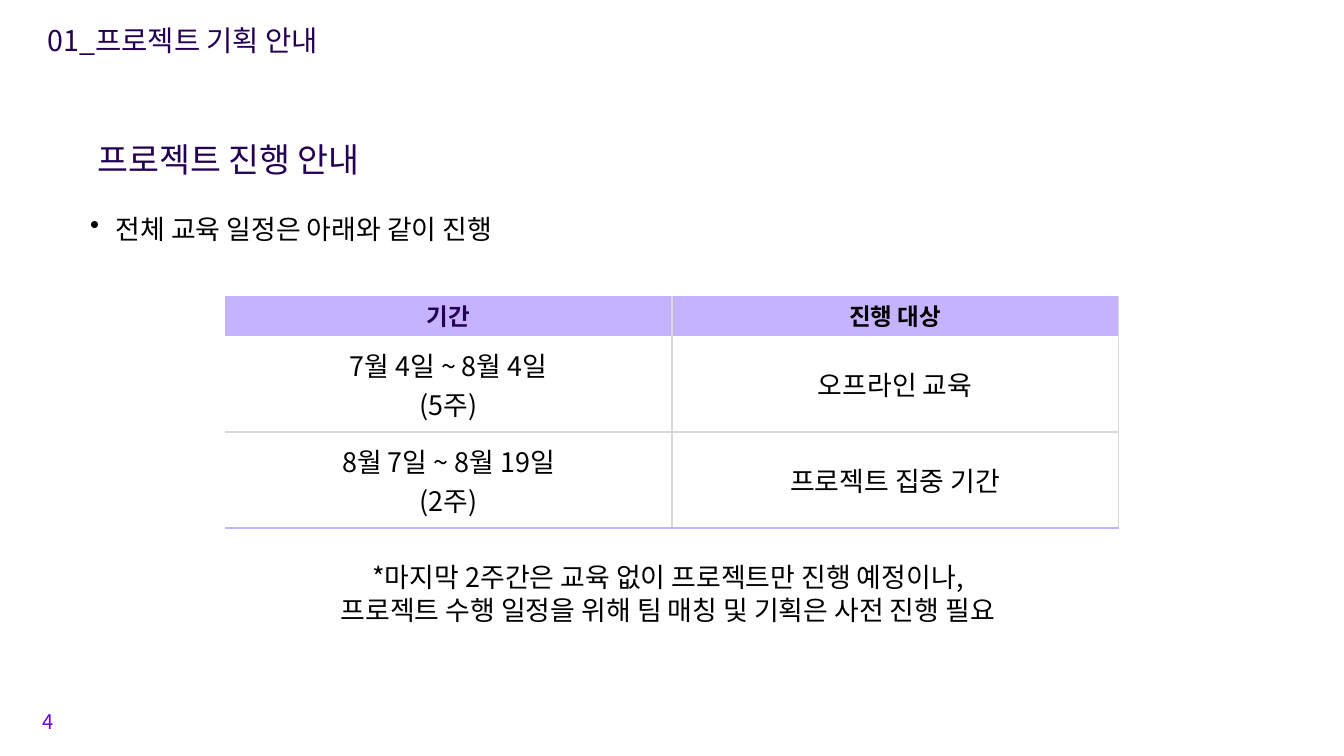
from dataclasses import dataclass

import lxml.etree
import pptx
import pptx.dml.color
import pptx.enum.text
import pptx.oxml.ns
import pptx.util

Cm = pptx.util.Cm
Align = pptx.enum.text.PP_ALIGN
Anchor = pptx.enum.text.MSO_ANCHOR
qn = pptx.oxml.ns.qn


@dataclass(frozen=True)
class Theme:
    font: str = "Noto Sans CJK KR"
    navy: str = "230054"
    black: str = "000000"
    white: str = "FFFFFF"
    violet: str = "6700E6"
    lilac: str = "C6B3FF"
    grey: str = "D9D9D9"
    title: int = 34
    topic: int = 40
    body: int = 32
    head: int = 28
    small: int = 24
    rule: float = 2.25


@dataclass(frozen=True)
class Label:
    lines: tuple[str, ...]
    left: float
    top: float
    width: float
    height: float
    size: int
    color: str
    align: Align = Align.LEFT
    anchor: Anchor = Anchor.TOP
    space: float = 1.0
    dot: bool = False


@dataclass(frozen=True)
class Entry:
    lines: tuple[str, ...]
    size: int
    color: str
    fill: str
    edges: dict[str, str]
    bold: bool = False


T = Theme()

LABELS = (
    Label(("01_프로젝트 기획 안내",), 1.75, 1.02, 44.22, 1.85,
          T.title, T.navy, space=0.9),
    Label(("프로젝트 진행 안내",), 3.84, 5.92, 48.97, 1.85,
          T.topic, T.navy, space=0.9),
    Label(("전체 교육 일정은 아래와 같이 진행",), 3.53, 8.79, 49.33, 1.9,
          T.body, T.black, dot=True),
    Label(("*마지막 2주간은 교육 없이 프로젝트만 진행 예정이나,",
           "프로젝트 수행 일정을 위해 팀 매칭 및 기획은 사전 진행 필요"),
          3.38, 23.44, 49.33, 3.6, T.body, T.black, Align.CENTER),
    Label(("4",), 1.55, 29.46, 12.7, 1.7,
          T.small, T.violet, anchor=Anchor.MIDDLE),
)

SIDES = ({"R": T.grey}, {"L": T.grey, "R": T.grey})
PLAN = (
    (("7월 4일 ~ 8월 4일", "(5주)"), ("오프라인 교육",), {"B": T.grey}),
    (("8월 7일 ~ 8월 19일", "(2주)"), ("프로젝트 집중 기간",),
     {"T": T.grey, "B": T.lilac}),
)
HEADS = (("기간", T.navy), ("진행 대상", T.black))
ROWS = [[Entry((text,), T.head, color, T.lilac, side, True)
         for (text, color), side in zip(HEADS, SIDES)]]
ROWS += [[Entry(lines, T.body, T.black, T.white, side | edges)
          for lines, side in zip((dates, group), SIDES)]
         for dates, group, edges in PLAN]


def rgb(color: str) -> pptx.dml.color.RGBColor:
    return pptx.dml.color.RGBColor.from_string(color)


def write(frame: pptx.text.text.TextFrame, lines: tuple[str, ...], size: int,
          color: str, align: Align, space: float = 1.0,
          bold: bool = False, dot: bool = False) -> None:
    for i, line in enumerate(lines):
        para = frame.add_paragraph() if i else frame.paragraphs[0]
        para.alignment = align
        para.line_spacing = space
        if dot:
            props = para._p.get_or_add_pPr()
            props.set("marL", str(Cm(1.07)))
            props.set("indent", str(-Cm(1.07)))
            lxml.etree.SubElement(props, qn("a:buChar")).set("char", "•")
        run = para.add_run()
        run.text = line
        font = run.font
        font.size = pptx.util.Pt(size)
        font.bold = bold
        font.color.rgb = rgb(color)
        font.name = T.font
        east = lxml.etree.SubElement(run._r.get_or_add_rPr(), qn("a:ea"))
        east.set("typeface", T.font)


def add_label(slide: pptx.slide.Slide, label: Label) -> None:
    box = slide.shapes.add_textbox(Cm(label.left), Cm(label.top),
                                   Cm(label.width), Cm(label.height))
    frame = box.text_frame
    frame.word_wrap = True
    frame.vertical_anchor = label.anchor
    write(frame, label.lines, label.size, label.color, label.align,
          label.space, dot=label.dot)


def fill_cell(cell: pptx.table._Cell, entry: Entry) -> None:
    cell.vertical_anchor = Anchor.MIDDLE
    write(cell.text_frame, entry.lines, entry.size, entry.color,
          Align.CENTER, bold=entry.bold)
    props = cell._tc.get_or_add_tcPr()
    for side in "LRTB":
        if side in entry.edges:
            line = lxml.etree.SubElement(props, qn(f"a:ln{side}"))
            line.set("w", str(pptx.util.Pt(T.rule)))
            paint = lxml.etree.SubElement(line, qn("a:solidFill"))
            tone = lxml.etree.SubElement(paint, qn("a:srgbClr"))
            tone.set("val", entry.edges[side])
    cell.fill.solid()
    cell.fill.fore_color.rgb = rgb(entry.fill)


def add_plan(slide: pptx.slide.Slide, rows: list[list[Entry]]) -> None:
    tall = (1.68, 4.04, 4.04)
    wide = 18.75
    table = slide.shapes.add_table(
        len(rows), len(HEADS), Cm(9.45), Cm(12.42),
        Cm(wide * len(HEADS)), Cm(sum(tall))).table
    table.horz_banding = False
    style = table._tbl.tblPr.find(qn("a:tableStyleId"))
    style.text = "{2D5ABB26-0587-4C30-8999-92F81FD0307C}"
    for col in table.columns:
        col.width = Cm(wide)
    for r, row in enumerate(rows):
        table.rows[r].height = Cm(tall[r])
        for c, entry in enumerate(row):
            fill_cell(table.cell(r, c), entry)


def main() -> None:
    deck = pptx.Presentation()
    deck.slide_width, deck.slide_height = Cm(56.41), Cm(31.75)
    slide = deck.slides.add_slide(deck.slide_layouts[6])
    for label in LABELS:
        add_label(slide, label)
    add_plan(slide, ROWS)
    deck.save("out.pptx")


if __name__ == "__main__":
    main()
